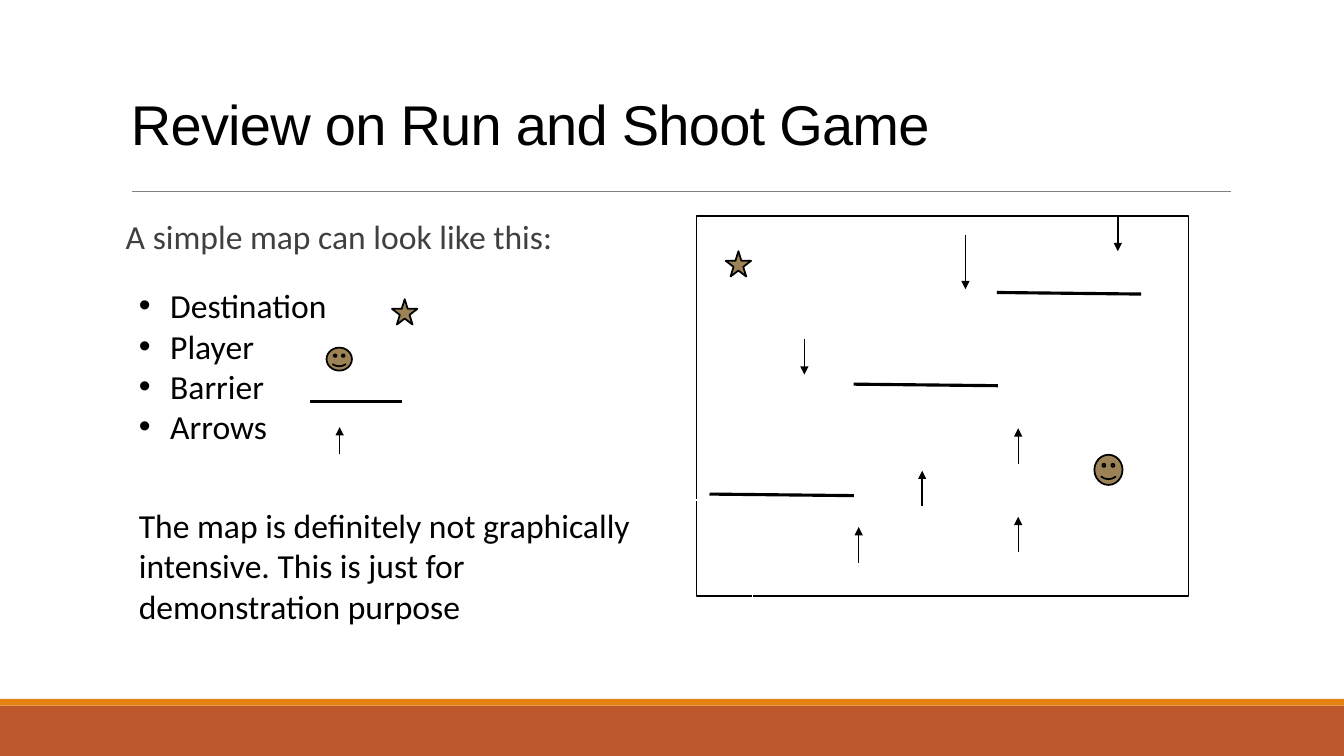
from lxml.etree import SubElement
from pptx import Presentation
from pptx.dml.color import RGBColor
from pptx.enum.shapes import MSO_CONNECTOR, MSO_SHAPE
from pptx.enum.text import MSO_ANCHOR, PP_ALIGN
from pptx.oxml.ns import qn
from pptx.util import Cm, Pt

COLORS = {
    "footer": "BD582C",
    "accent": "E48312",
    "rule": "808080",
    "ink": "000000",
    "body": "404040",
    "marker": "9B8357",
    "white": "FFFFFF",
}
SLIDE_WIDTH, SLIDE_HEIGHT = 33.87, 19.05
BULLET_INDENT = Cm(0.79)


def color(name):
    return RGBColor.from_string(COLORS[name])


def add_figure(slide, kind, left, top, width, height, fill=None, line=None, weight=1):
    shape = slide.shapes.add_shape(kind, Cm(left), Cm(top), Cm(width), Cm(height))
    shape.shadow.inherit = False
    if fill:
        shape.fill.solid()
        shape.fill.fore_color.rgb = color(fill)
    else:
        shape.fill.background()
    if line:
        shape.line.color.rgb = color(line)
        shape.line.width = Pt(weight)
    else:
        shape.line.fill.background()
    return shape


def add_marker(slide, kind, left, top, width, height):
    add_figure(slide, kind, left, top, width, height, "marker", "ink", 1.25)


def add_line(slide, left, top, across, down, weight, line="ink"):
    connector = slide.shapes.add_connector(
        MSO_CONNECTOR.STRAIGHT, Cm(left), Cm(top), Cm(left + across), Cm(top + down))
    connector.line.color.rgb = color(line)
    connector.line.width = Pt(weight)
    SubElement(connector._element.spPr, qn("a:effectLst"))
    return connector


def add_arrow(slide, left, top, down):
    """Draw a vertical arrow; a negative length points up."""
    connector = add_line(slide, left, top, 0, down, 1)
    SubElement(connector.line._get_or_add_ln(), qn("a:tailEnd"), type="triangle")


def write_lines(shape, lines, size=24, font="Calibri", ink="ink", spacing=None):
    frame = shape.text_frame
    frame.word_wrap = True
    frame.text = "\n".join(lines)
    for paragraph in frame.paragraphs:
        paragraph.alignment = PP_ALIGN.LEFT
        paragraph.line_spacing = spacing
        for run in paragraph.runs:
            run.font.size = Pt(size)
            run.font.name = font
            run.font.color.rgb = color(ink)
    return frame


def add_text(slide, left, top, width, height, lines, **style):
    box = slide.shapes.add_textbox(Cm(left), Cm(top), Cm(width), Cm(height))
    return write_lines(box, lines, **style)


def add_footer_bands(slide, top):
    add_figure(slide, MSO_SHAPE.RECTANGLE, 0, top, SLIDE_WIDTH, SLIDE_HEIGHT - top, "footer")
    add_figure(slide, MSO_SHAPE.RECTANGLE, 0, top - 0.17, SLIDE_WIDTH, 0.17, "accent")


def add_heading(slide, left, top, width, height):
    frame = add_text(slide, left, top, width, height, ["Review on Run and Shoot Game"],
                     size=40, font="Arial", spacing=0.85)
    frame.vertical_anchor = MSO_ANCHOR.BOTTOM
    frame.paragraphs[0].runs[0].font._element.set("spc", "-50")
    add_line(slide, left + 0.28, top + height + 0.74, width - 0.25, 0, 0.5, "rule")


def add_map(slide, left, top, width, height):
    add_figure(slide, MSO_SHAPE.RECTANGLE, left, top, width, height, line="ink")
    add_marker(slide, MSO_SHAPE.STAR_5_POINT, left + 0.74, top + 0.89, 0.64, 0.64)
    add_marker(slide, MSO_SHAPE.SMILEY_FACE, left + 10.03, top + 6.02, 0.71, 0.76)
    for across, down in [(7.57, 1.93), (0.33, 7.01), (3.96, 4.24)]:
        add_line(slide, left + across, top + down, 3.64, 0.04, 2.25)
    arrows = [
        (10.62, 0, 0.89), (6.78, 0.48, 1.37), (2.72, 3.1, 0.9),
        (5.69, 7.32, -0.9), (8.11, 8.48, -0.9), (8.11, 6.25, -0.9), (4.09, 8.74, -0.9),
    ]
    for across, down, length in arrows:
        add_arrow(slide, left + across, top + down, length)


def add_legend(slide, left, top, width, height):
    frame = add_text(slide, left, top, width, height,
                     ["Destination", "Player", "Barrier", "Arrows"])
    for paragraph in frame.paragraphs:
        properties = paragraph._p.get_or_add_pPr()
        properties.set("marL", str(BULLET_INDENT))
        properties.set("indent", str(-BULLET_INDENT))
        SubElement(properties, qn("a:buFont"), typeface="Arial")
        SubElement(properties, qn("a:buChar"), char="•")
    add_marker(slide, MSO_SHAPE.STAR_5_POINT, left + 6.63, top + 0.48, 0.64, 0.64)
    add_marker(slide, MSO_SHAPE.SMILEY_FACE, left + 4.98, top + 1.7, 0.64, 0.58)
    add_line(slide, left + 4.55, top + 3.05, 2.34, 0, 2.25)
    add_arrow(slide, left + 5.31, top + 4.39, -0.69)


def add_remark(slide, left, top, width, height):
    shape = add_figure(slide, MSO_SHAPE.RECTANGLE, left, top, width, height,
                       line="white", weight=0.75)
    frame = write_lines(shape, [
        "The map is definitely not graphically intensive. This is just for",
        "demonstration purpose",
    ])
    frame.vertical_anchor = MSO_ANCHOR.TOP


def main():
    presentation = Presentation()
    presentation.slide_width = Cm(SLIDE_WIDTH)
    presentation.slide_height = Cm(SLIDE_HEIGHT)
    slide = presentation.slides.add_slide(presentation.slide_layouts[6])
    add_footer_bands(slide, 17.78)
    add_heading(slide, 3.05, 0.05, 27.94, 4.04)
    add_text(slide, 2.92, 5.44, 14, 1.3, ["A simple map can look like this:"],
             ink="body", spacing=0.9)
    add_map(slide, 17.55, 5.44, 12.4, 9.58)
    add_legend(slide, 3.25, 7.06, 7.62, 4.37)
    add_remark(slide, 3.25, 12.6, 15.72, 3.33)
    presentation.save("out.pptx")


if __name__ == "__main__":
    main()
